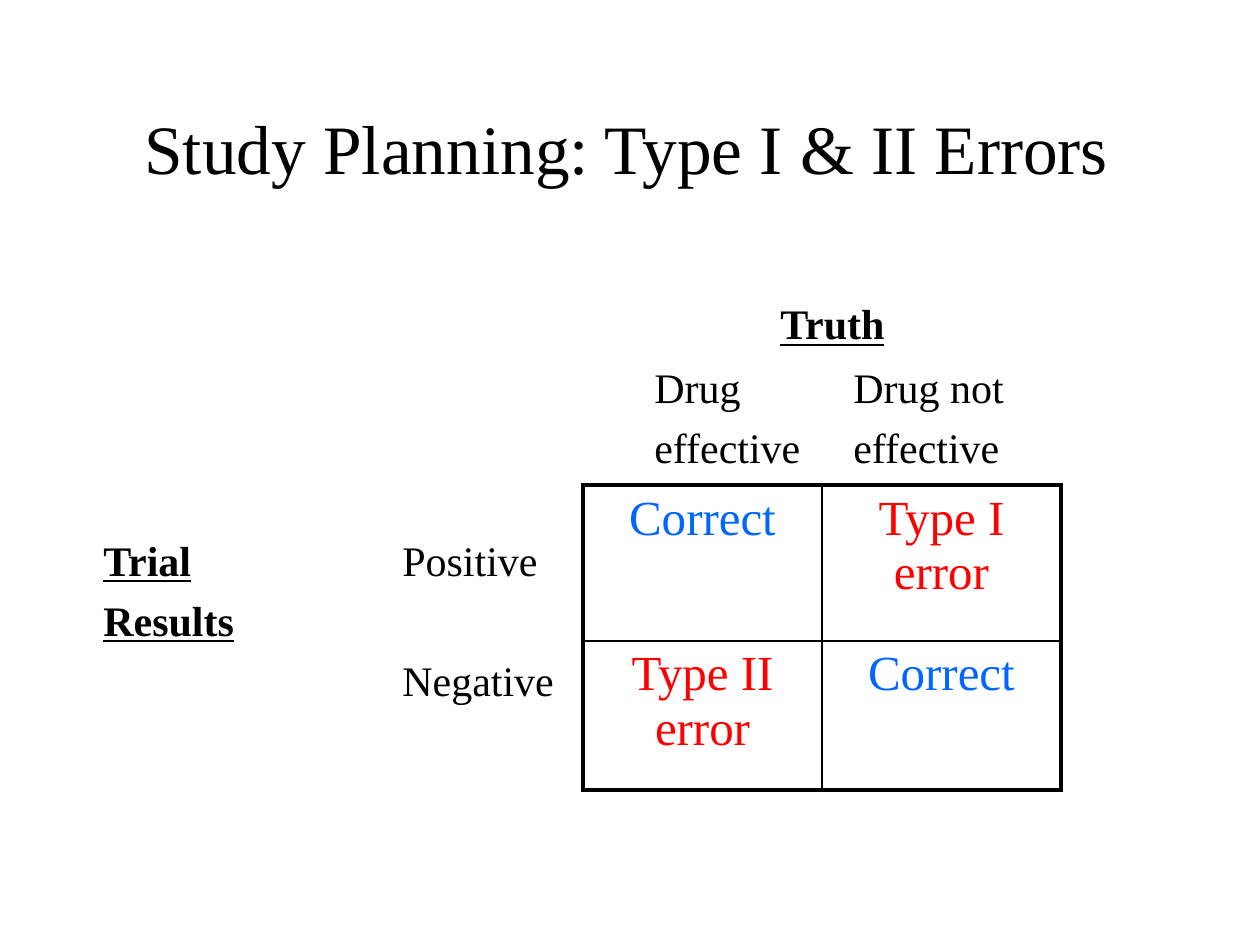
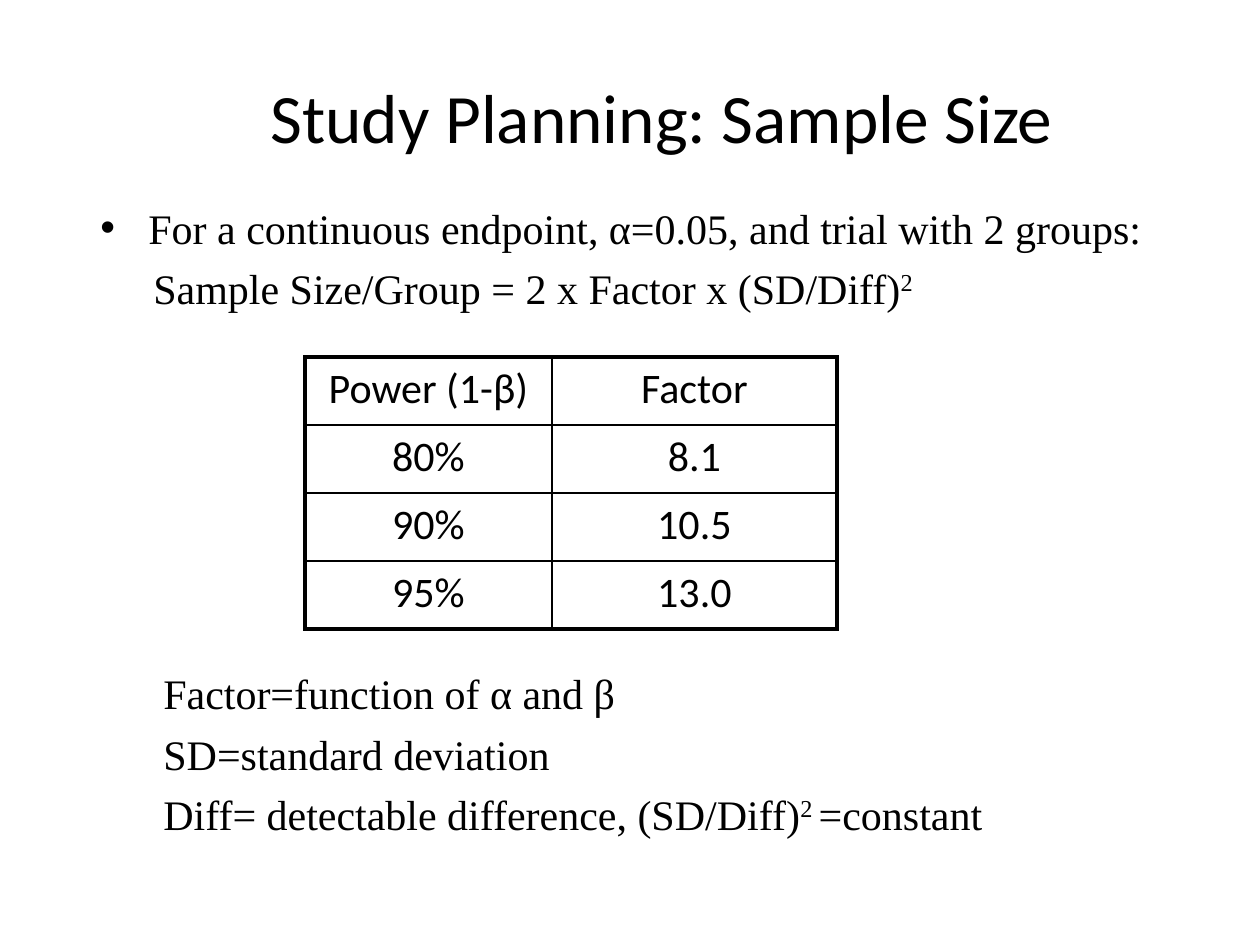
"""Build two study planning slides on error types and sample size."""
import pptx
import pptx.dml.color
import pptx.enum.text
import pptx.oxml.ns
import pptx.util
from lxml import etree

BLACK = pptx.dml.color.RGBColor(0x00, 0x00, 0x00)
BLUE = pptx.dml.color.RGBColor(0x00, 0x66, 0xFF)
RED = pptx.dml.color.RGBColor(0xFF, 0x00, 0x00)
SERIF = "Times New Roman"
SANS = "Calibri"
SCALE = 914400 / 126
GAP = 10
CENTER = pptx.enum.text.PP_ALIGN.CENTER
HEAD = {"bold": True, "underline": True}
SUPER = {"base": 30000}


def px(count):
    return pptx.util.Emu(round(count * SCALE))


def add(parent, tag, **attrs):
    node = etree.SubElement(parent, pptx.oxml.ns.qn(tag))
    for key, value in attrs.items():
        node.set(key, str(value))
    return node


class Deck:
    """Hold the shared style and the current slide."""

    def __init__(self):
        self.show = pptx.Presentation()
        self.show.slide_width = px(1260)
        self.show.slide_height = px(945)
        self.slide = None

    def run(self, para, text, font=SERIF, size=24, color=BLACK,
            bold=False, underline=False, base=0):
        run = para.add_run()
        run.text = text
        run.font.name = font
        run.font.size = pptx.util.Pt(size)
        run.font.color.rgb = color
        run.font.bold = bold
        run.font.underline = underline
        if base:
            run.font._element.set("baseline", str(base))

    def title(self, text, font, *place):
        self.slide = self.show.slides.add_slide(self.show.slide_layouts[5])
        shape = self.slide.shapes.title
        shape.left, shape.top, shape.width, shape.height = map(px, place)
        frame = shape.text_frame
        frame.auto_size = pptx.enum.text.MSO_AUTO_SIZE.NONE
        frame.vertical_anchor = pptx.enum.text.MSO_ANCHOR.MIDDLE
        para = frame.paragraphs[0]
        para.alignment = CENTER
        self.run(para, text, font, 39.6)

    def body(self, place, inset, lines):
        frame = self.slide.shapes.add_textbox(*map(px, place)).text_frame
        frame.word_wrap = True
        frame.margin_top = px(inset)
        for row, line in enumerate(lines):
            para = frame.add_paragraph() if row else frame.paragraphs[0]
            para.space_before = px(line.get("gap", GAP) if row else 0)
            props = para._p.get_or_add_pPr()
            indent = line.get("indent", 0)
            props.set("marL", str(px(indent)))
            if line.get("bullet"):
                props.set("indent", str(px(-indent)))
                add(props, "a:buFont", typeface="Arial")
                add(props, "a:buChar", char="•")
            if "tabs" in line:
                stops = add(props, "a:tabLst")
                for stop in line["tabs"]:
                    add(stops, "a:tab", pos=px(stop), algn="l")
            for text, style in line["runs"]:
                self.run(para, text, **style)

    def edge(self, cell, sides):
        props = cell._tc.get_or_add_tcPr()
        for side, outer in sides:
            width = pptx.util.Pt(2.25 if outer else 1)
            line = add(props, "a:ln" + side, w=width)
            add(add(line, "a:solidFill"), "a:srgbClr", val=BLACK)
        cell.fill.background()

    def table(self, left, top, cols, rows, cells, font, size):
        place = map(px, (left, top, sum(cols), sum(rows)))
        grid = self.slide.shapes.add_table(len(rows), len(cols), *place).table
        grid.first_row = grid.horz_banding = False
        for col, width in enumerate(cols):
            grid.columns[col].width = px(width)
        for row, height in enumerate(rows):
            grid.rows[row].height = px(height)
            for col, (text, color) in enumerate(cells[row]):
                cell = grid.cell(row, col)
                para = cell.text_frame.paragraphs[0]
                para.alignment = CENTER
                self.run(para, text, font, size, color)
                self.edge(cell, (("L", col == 0), ("R", col == len(cols) - 1),
                                 ("T", row == 0), ("B", row == len(rows) - 1)))


def errors(deck):
    deck.title("Study Planning: Type I & II Errors", SERIF, 88, 115, 1077, 63)
    truth = [551, 750]
    trial = [299]
    deck.body((91, 280, 1061, 567), 18, [
        {"tabs": [677], "runs": [("\t", {}), ("Truth", HEAD)]},
        {"tabs": truth, "gap": 13, "runs": [("\tDrug\tDrug not", {})]},
        {"tabs": truth, "runs": [("\teffective\teffective", {})]},
        {"tabs": trial, "gap": 62, "runs": [("Trial", HEAD), ("\tPositive", {})]},
        {"runs": [("Results", HEAD)]},
        {"tabs": trial, "runs": [("\tNegative", {})]},
    ])
    deck.table(583, 485, [239] * 2, [156, 149], [
        [("Correct", BLUE), ("Type I error", RED)],
        [("Type II error", RED), ("Correct", BLUE)],
    ], SERIF, 28)


def sample(deck):
    deck.title("Study Planning: Sample Size", SANS, 163, 74, 998, 84)
    deck.body((88, 190, 1071, 735), 12, [
        {"indent": 48, "bullet": True, "runs": [
            ("For a continuous endpoint, α=0.05, and trial with 2 groups:", {})]},
        {"indent": 53, "runs": [
            ("Sample Size/Group = 2 x Factor x (SD/Diff)", {}), ("2", SUPER)]},
        {"indent": 63, "gap": 355, "runs": [("Factor=function of α and β", {})]},
        {"indent": 63, "runs": [("SD=standard deviation", {})]},
        {"indent": 63, "runs": [
            ("Diff= detectable difference, (SD/Diff)", {}),
            ("2 ", SUPER), ("=constant", {})]},
    ])
    pairs = [("Power (1-β)", "Factor"), ("80%", "8.1"),
             ("90%", "10.5"), ("95%", "13.0")]
    cells = [[(text, BLACK) for text in pair] for pair in pairs]
    deck.table(305, 357, [247, 285], [68] * 4, cells, SANS, 24)


def main():
    deck = Deck()
    errors(deck)
    sample(deck)
    deck.show.save("out.pptx")


if __name__ == "__main__":
    main()
